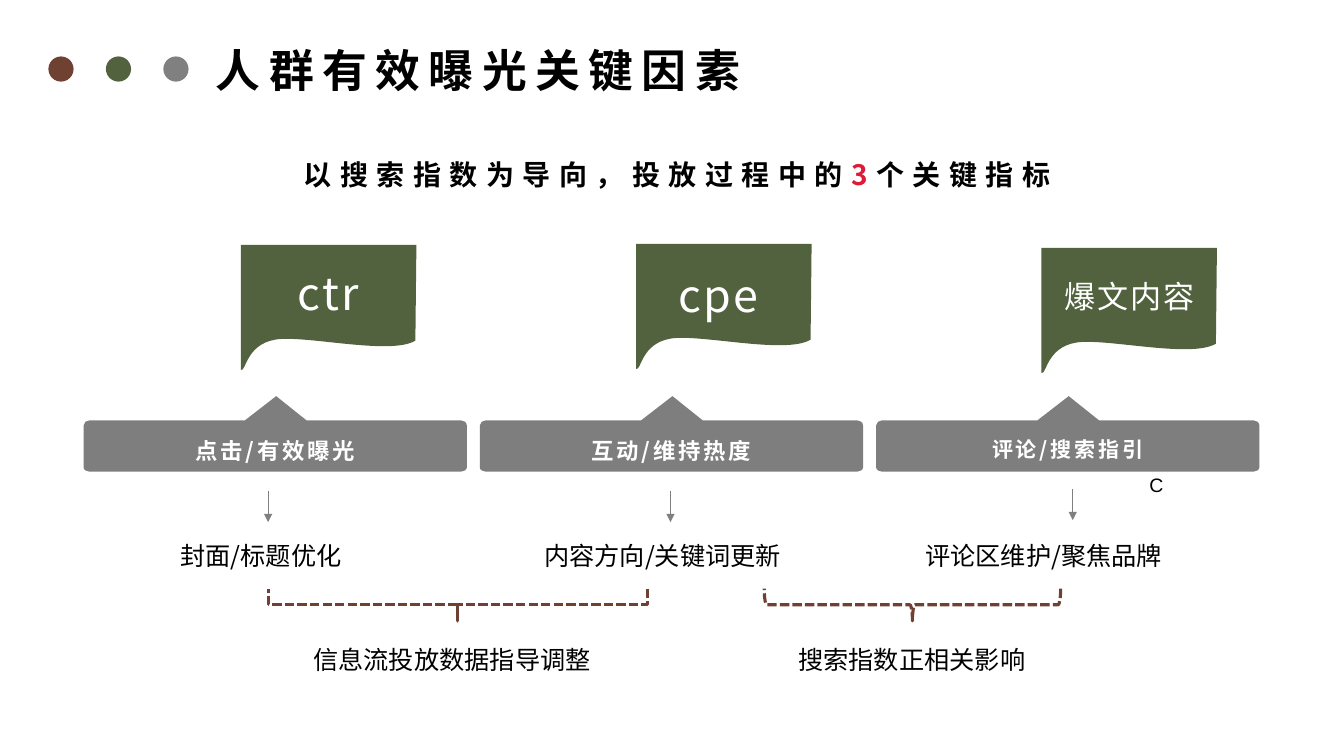
from dataclasses import dataclass

from lxml.etree import SubElement
from pptx import Presentation
from pptx.dml.color import RGBColor
from pptx.enum.dml import MSO_LINE_DASH_STYLE as Dash
from pptx.enum.shapes import MSO_CONNECTOR as Connector, MSO_SHAPE as Shape
from pptx.enum.text import MSO_ANCHOR as Anchor, PP_ALIGN as Align
from pptx.oxml.ns import qn
from pptx.util import Inches, Pt


@dataclass(frozen=True)
class Theme:
    font: str = "Noto Sans CJK SC"
    latin: str = "Arial"
    black: str = "000000"
    white: str = "FFFFFF"
    red: str = "DE1A37"
    brown: str = "6F4132"
    green: str = "52623F"
    grey: str = "808080"
    bar: str = "7E7E7E"
    title: float = 32
    subtitle: float = 20
    body: float = 18
    mark: float = 13.9


@dataclass(frozen=True)
class Metric:
    name: str
    name_size: float
    name_at: tuple
    flag_at: tuple
    bar_text: str
    bar_size: float
    arrow_top: float
    action: str
    action_left: float


THEME = Theme()
COLUMN_LEFT, COLUMN_STEP, COLUMN_WIDTH = 0.83, 3.93, 3.8
ARROW_LEFT, ARROW_STEP, ARROW_LENGTH = 2.66, 3.99, 0.31

# Positions within a metric count from the left of its column and the top of the page.
METRICS = [
    Metric("ctr", 32, (1.44, 2.42), (1.56, 2.43), "点击/有效曝光", 16, 4.87,
           "封面/标题优化", 0.86),
    Metric("cpe", 32, (1.38, 2.44), (1.55, 2.42), "互动/维持热度", 16, 4.87,
           "内容方向/关键词更新", 0.54),
    Metric("爆文内容", 22.2, (1.53, 2.47), (1.64, 2.46), "评论/搜索指引", 15, 4.85,
           "评论区维护/聚焦品牌", 0.39),
]

# A step of one point is a line, a step of three points is a Bézier curve.
FLAG = [[(0, 0)], [(1.74, 0)], [(1.73, 0.95)],
        [(1.48, 1.10), (0.63, 0.89), (0.34, 0.94)],
        [(0.05, 0.99), (0.05, 1.26), (0, 1.24)]]
BAR = [[(0.06, 0.24)], [(1.6, 0.24)], [(1.91, 0)], [(2.21, 0.24)], [(3.74, 0.24)],
       [(3.77, 0.24), (3.8, 0.26), (3.8, 0.29)], [(3.8, 0.71)],
       [(3.8, 0.73), (3.77, 0.75), (3.74, 0.75)], [(0.06, 0.75)],
       [(0.03, 0.75), (0, 0.73), (0, 0.71)], [(0, 0.29)],
       [(0, 0.26), (0.03, 0.24), (0.06, 0.24)]]


def rgb(color):
    return RGBColor.from_string(color)


def fill_plain(shape, color):
    shape.shadow.inherit = False
    shape.fill.solid()
    shape.fill.fore_color.rgb = rgb(color)
    shape.line.fill.background()


def add_outline(page, steps, left, top, color):
    """Build the outline through the end points, then bend its curved steps."""
    points = [(Inches(left + x), Inches(top + y)) for x, y in (step[-1] for step in steps)]
    builder = page.shapes.build_freeform(*points[0], scale=1.0)
    builder.add_line_segments(points[1:], close=False)
    outline = builder.convert_to_shape()
    segments = list(outline._element.iter(qn("a:lnTo")))
    for segment, step in zip(segments, steps[1:]):
        if len(step) == 3:
            end = segment[0]
            segment.tag = qn("a:cubicBezTo")
            for x, y in step[:2]:
                control = SubElement(segment, qn("a:pt"))
                control.set("x", str(Inches(x)))
                control.set("y", str(Inches(y)))
            segment.append(end)
    SubElement(segments[-1].getparent(), qn("a:close"))
    fill_plain(outline, color)


def write(shape, parts, size, color=THEME.black, bold=False, align=Align.LEFT,
          spacing=0, line_spacing=1.0, anchor=Anchor.TOP, font=THEME.font):
    """Fill a box with one paragraph; parts are (text, own colour or None)."""
    frame = shape.text_frame
    frame.word_wrap = True
    frame.vertical_anchor = anchor
    frame.margin_top = frame.margin_bottom = Inches(0.05)
    frame.margin_left = frame.margin_right = Inches(0.1 if align == Align.LEFT else 0)
    para = frame.paragraphs[0]
    para.alignment = align
    para.line_spacing = line_spacing
    para.font.name = font
    para.font.size = Pt(size)
    para.font.bold = bold
    para.font.color.rgb = rgb(color)
    defaults = para._p.pPr.get_or_add_defRPr()
    defaults.set("spc", str(int(spacing * 100)))
    SubElement(defaults, qn("a:ea")).set("typeface", font)
    for text, own_color in parts:
        span = para.add_run()
        span.text = text
        if own_color:
            span.font.color.rgb = rgb(own_color)


def add_text(page, box, text, size, **style):
    shape = page.shapes.add_textbox(*map(Inches, box))
    write(shape, [(text, None)] if isinstance(text, str) else text, size, **style)


def add_arrow(page, x, top):
    arrow = page.shapes.add_connector(
        Connector.STRAIGHT, *map(Inches, (x, top, x, top + ARROW_LENGTH)))
    arrow.line.color.rgb = rgb(THEME.grey)
    arrow.line.width = Pt(0.5)
    SubElement(arrow.line._get_or_add_ln(), qn("a:tailEnd")).set("type", "triangle")
    SubElement(arrow._element.spPr, qn("a:effectLst"))


def add_header(page, left, top):
    for index, color in enumerate((THEME.brown, THEME.green, THEME.grey)):
        dot = page.shapes.add_shape(
            Shape.OVAL, *map(Inches, (left + 0.57 * index, top + 0.19, 0.25, 0.25)))
        fill_plain(dot, color)
    title = page.shapes.title
    title.left, title.top, title.width, title.height = map(
        Inches, (left + 1.56, top, 9.67, 0.64))
    write(title, [("人群有效曝光关键因素", None)], THEME.title, bold=True, spacing=6)


def add_metric(page, metric, left):
    add_outline(page, BAR, left, 3.93, THEME.bar)
    add_text(page, (left, 4.23, COLUMN_WIDTH, 0.48), metric.bar_text, metric.bar_size,
             color=THEME.white, bold=True, align=Align.CENTER, spacing=2, line_spacing=1.2)
    flag_left, flag_top = metric.flag_at
    add_outline(page, FLAG, left + flag_left, flag_top, THEME.green)
    name_left, name_top = metric.name_at
    add_text(page, (left + name_left, name_top, 1.97, 0.86), metric.name, metric.name_size,
             color=THEME.white, align=Align.CENTER, spacing=1.5, line_spacing=1.2,
             anchor=Anchor.MIDDLE)
    add_text(page, (left + metric.action_left, 5.31, 3.04, 0.4), metric.action, THEME.body)


def add_outcome(page, center, span, text, text_left, corner):
    """Dashed brace under two actions, with their joint result below it."""
    depth, middle = 0.32, 6.0
    brace = page.shapes.add_shape(Shape.LEFT_BRACE, *map(
        Inches, (center - depth / 2, middle - span / 2, depth, span)))
    brace.rotation = 270
    brace.adjustments[0] = corner
    brace.shadow.inherit = False
    brace.fill.background()
    brace.line.color.rgb = rgb(THEME.brown)
    brace.line.width = Pt(2.25)
    brace.line.dash_style = Dash.SQUARE_DOT
    add_text(page, (text_left, middle + 0.34, 3, 0.4), text, THEME.body)


def main():
    deck = Presentation()
    deck.slide_width, deck.slide_height = Inches(13.33), Inches(7.5)
    page = deck.slides.add_slide(deck.slide_layouts[5])
    add_header(page, 0.48, 0.37)
    add_text(page, (2.76, 1.51, 7.91, 0.44),
             [("以搜索指数为导向，投放过程中的", None), ("3", THEME.red), ("个关键指标", None)],
             THEME.subtitle, bold=True, align=Align.CENTER, spacing=6)
    for index, metric in enumerate(METRICS):
        add_metric(page, metric, COLUMN_LEFT + COLUMN_STEP * index)
        add_arrow(page, ARROW_LEFT + ARROW_STEP * index, metric.arrow_top)
    add_text(page, (11.25, 4.64, 0.44, 0.34), "C", THEME.mark, align=Align.CENTER,
             anchor=Anchor.MIDDLE, font=THEME.latin)
    add_outcome(page, 4.54, 3.76, "信息流投放数据指导调整", 3.01, 0)
    add_outcome(page, 9.05, 2.94, "搜索指数正相关影响", 7.82, 0.08)
    deck.save("out.pptx")


if __name__ == "__main__":
    main()
